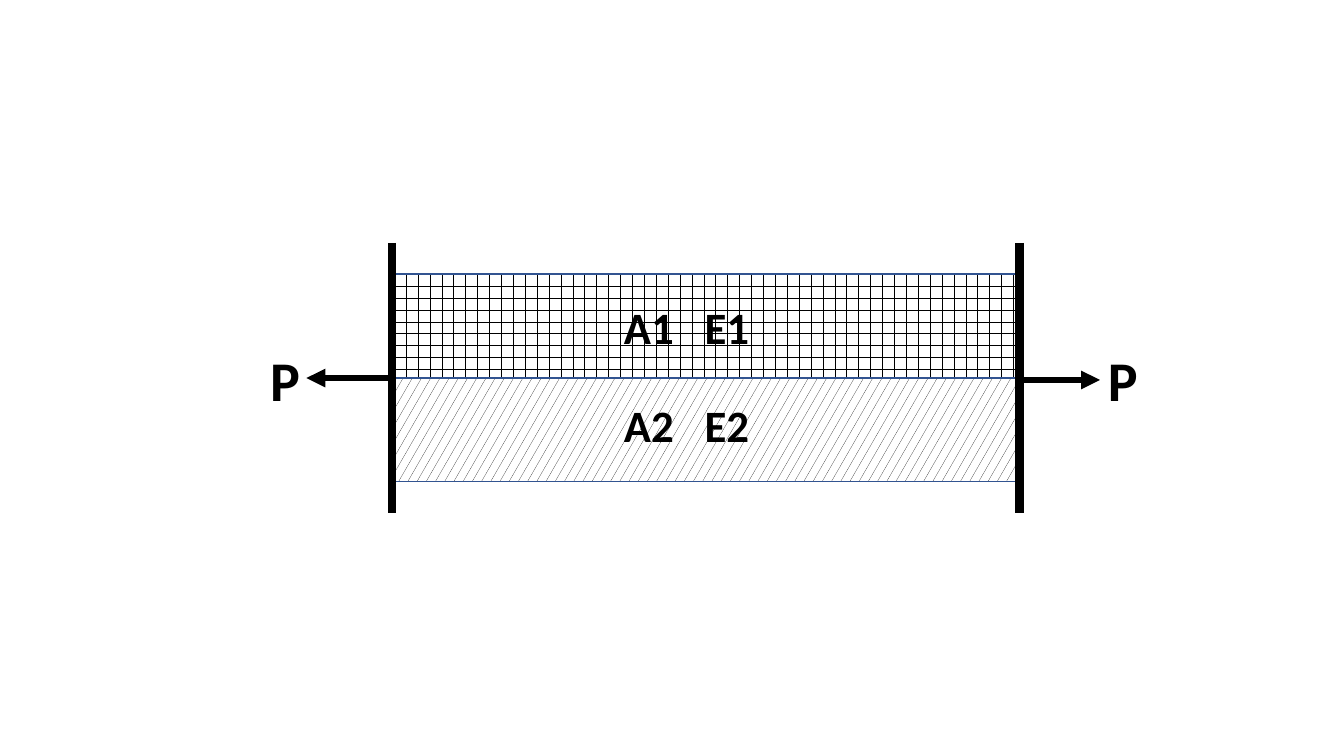
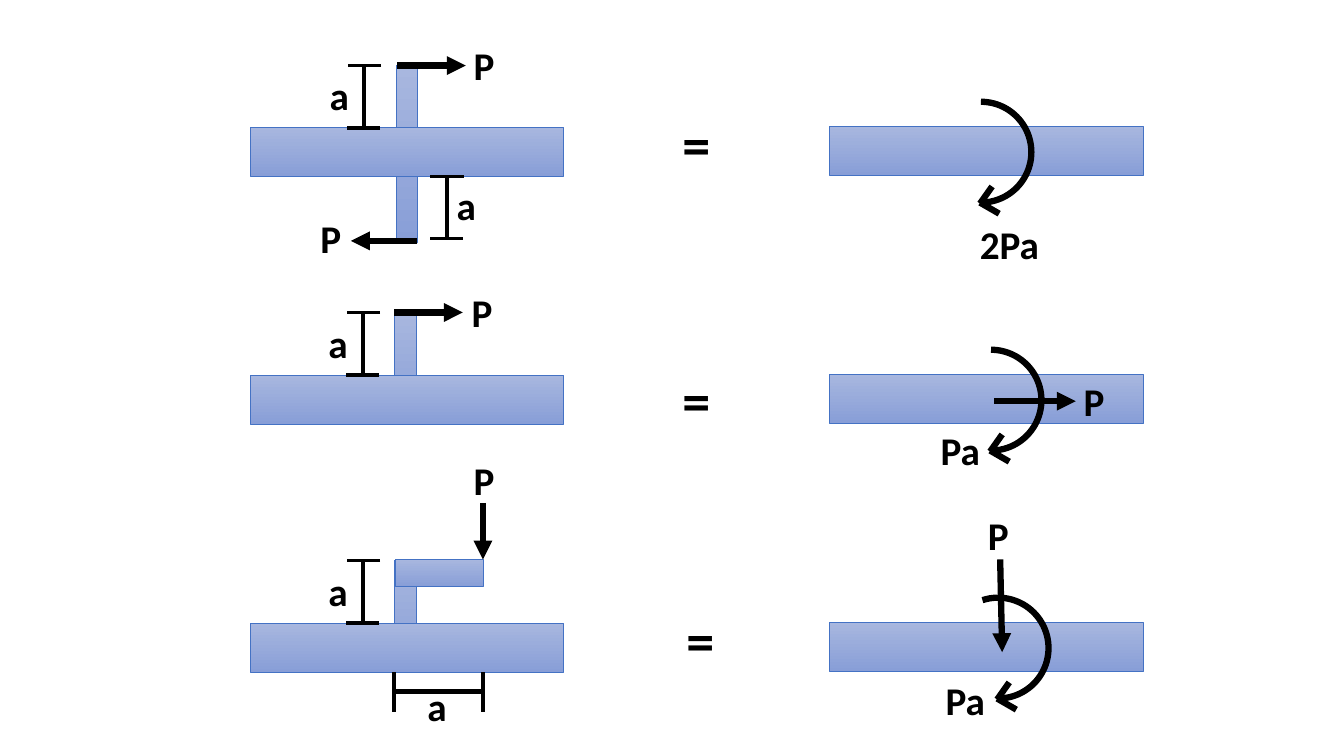
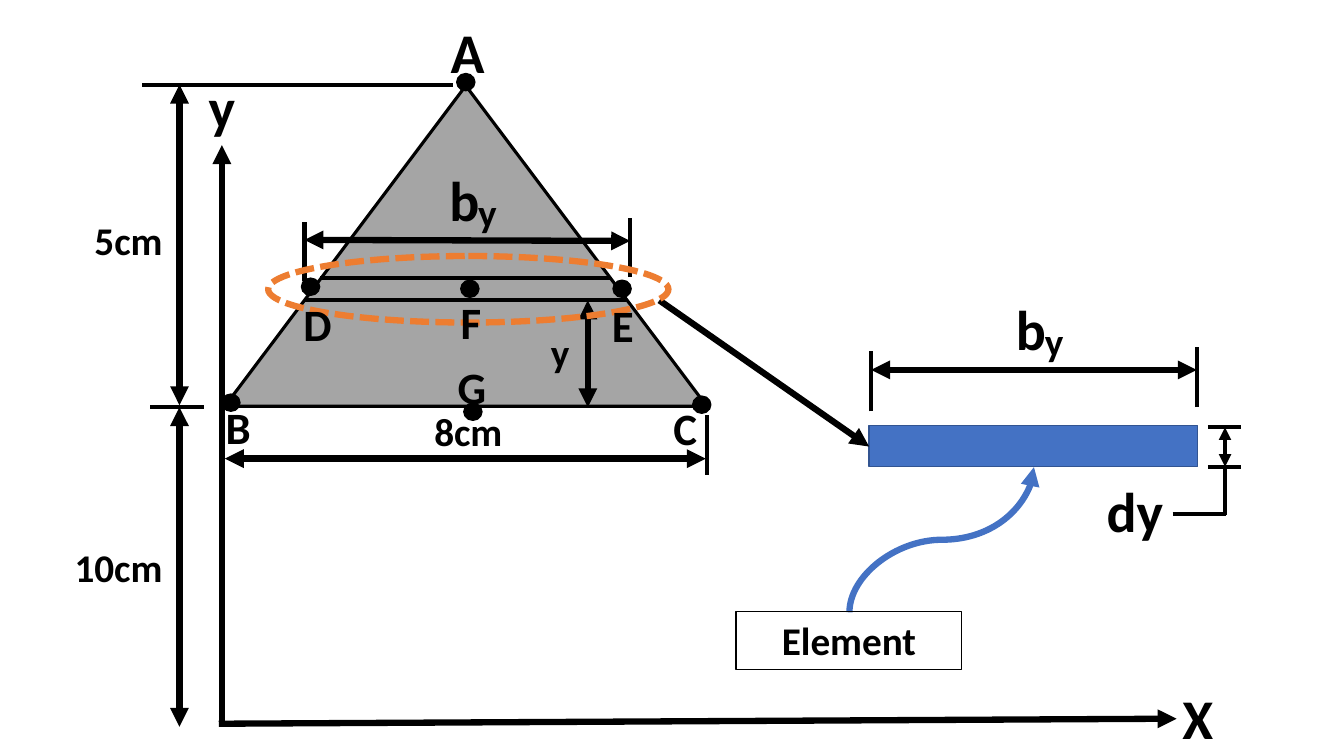
"""Draw three mechanics diagrams: a composite bar, force couples and a triangle's inertia strip."""
from lxml.etree import SubElement
from pptx import Presentation
from pptx.dml.color import RGBColor
from pptx.enum.dml import MSO_LINE, MSO_PATTERN
from pptx.enum.shapes import MSO_CONNECTOR as LINK, MSO_SHAPE as FORM
from pptx.enum.text import MSO_AUTO_SIZE as FIT, PP_ALIGN as ALIGN
from pptx.oxml.ns import qn
from pptx.util import Inches, Pt

FONT = "Calibri"
BLACK, WHITE, GRAY = "000000", "FFFFFF", "A5A5A5"
BLUE, NAVY, ORANGE = "4472C4", "325491", "ED7D31"
SHADE = ("A8B7DF", "889ED7")


def paint(fill, *hues, hatch=None):
    """Apply no fill, a solid fill, a vertical gradient or a pattern."""
    if not hues:
        fill.background()
    elif hatch:
        fill.patterned()
        fill.pattern = hatch
        fill.fore_color.rgb, fill.back_color.rgb = map(RGBColor.from_string, hues)
    elif len(hues) == 2:
        fill.gradient()
        fill.gradient_angle = 270
        for stop, hue in zip(fill.gradient_stops, hues):
            stop.color.rgb = RGBColor.from_string(hue)
    else:
        fill.solid()
        fill.fore_color.rgb = RGBColor.from_string(hues[0])


def label(slide, text, x, y, w=0.53, h=0.57, size=28, align=ALIGN.LEFT, tab=None, edge=None):
    """Add one line of bold text."""
    box = slide.shapes.add_textbox(*map(Inches, (x, y, w, h)))
    frame = box.text_frame
    frame.word_wrap = True
    frame.auto_size = FIT.SHAPE_TO_FIT_TEXT
    line = frame.paragraphs[0]
    line.alignment = align
    if tab:
        stops = SubElement(box.element.txBody.p_lst[0].get_or_add_pPr(), qn("a:tabLst"))
        SubElement(stops, qn("a:tab"), pos=str(Inches(tab)), algn="l")
    run = line.add_run()
    run.text = text
    run.font.name, run.font.size, run.font.bold = FONT, Pt(size), True
    paint(run.font.fill, BLACK)
    if edge:
        paint(box.line.fill, BLACK)
        box.line.width = Pt(edge)


deck = Presentation()
deck.slide_width, deck.slide_height = Inches(13.33), Inches(7.5)
bar, couple, strip = [deck.slides.add_slide(deck.slide_layouts[6]) for _ in range(3)]

shapes = []
for y, hatch in ((2.72, MSO_PATTERN.HORIZONTAL_BRICK), (3.75, MSO_PATTERN.SMALL_CONFETTI)):
    shapes.append((bar, FORM.RECTANGLE, (3.91, y, 6.2, 1.03), (BLACK, WHITE), hatch, NAVY, 1))

stems = [(3.93, 0.65, 0.21, 1.76), (3.91, 3.1, 0.22, 1.1), (3.91, 5.56, 0.22, 1.1)]
beams = [(x, y + 2.46 * row, 3.11, 0.49) for x, y in ((2.48, 1.26), (8.23, 1.25)) for row in range(3)]
arm = (3.92, 5.55, 0.87, 0.27)
for place in stems + beams + [arm]:
    shapes.append((couple, FORM.RECTANGLE, place, SHADE, None, BLUE, 0.5))

shapes += [
    (strip, FORM.FLOWCHART_EXTRACT, (2.23, 0.85, 4.78, 3.18), (GRAY,), None, BLACK, 2.25),
    (strip, FORM.RECTANGLE, (8.62, 4.22, 3.26, 0.41), (BLUE,), None, NAVY, 1),
]
dots = [(4.53, 0.73), (2.99, 2.76), (2.2, 3.91), (6.87, 3.93), (6.08, 2.78), (4.6, 4), (4.57, 2.78)]
for x, y in dots:
    shapes.append((strip, FORM.OVAL, (x, y, 0.18, 0.17), (BLACK,), None, BLACK, 1))

for slide, kind, place, hues, hatch, edge, width in shapes:
    shape = slide.shapes.add_shape(kind, *map(Inches, place))
    shape.shadow.inherit = False
    paint(shape.fill, *hues, hatch=hatch)
    paint(shape.line.fill, edge)
    shape.line.width = Pt(width)

NONE, TIP, BOTH = (), ("tailEnd",), ("headEnd", "tailEnd")
lines = [
    (bar, 3.89, 2.41, 3.89, 5.09, 6, NONE),
    (bar, 10.11, 2.41, 10.11, 5.09, 6, NONE),
    (bar, 3.91, 3.75, 3.04, 3.75, 4.5, TIP),
    (bar, 10.11, 3.77, 10.91, 3.77, 4.5, TIP),
    (couple, 3.94, 0.65, 4.62, 0.65, 4.5, TIP),
    (couple, 4.14, 2.39, 3.48, 2.39, 4.5, TIP),
    (couple, 3.91, 3.1, 4.59, 3.1, 4.5, TIP),
    (couple, 4.79, 4.99, 4.79, 5.55, 4.5, TIP),
    (couple, 9.86, 3.98, 10.67, 3.98, 4.5, TIP),
    (couple, 9.92, 5.55, 9.94, 6.47, 4.5, TIP),
    (couple, 3.93, 6.86, 4.79, 6.86, 3, NONE),
    (couple, 3.91, 7.06, 3.91, 6.67, 3, NONE),
    (couple, 4.79, 7.06, 4.79, 6.67, 3, NONE),
    (strip, 2.2, 7.18, 2.2, 1.44, 4.5, TIP),
    (strip, 2.17, 7.18, 11.67, 7.13, 4.5, TIP),
    (strip, 1.49, 4.04, 2.02, 4.04, 3, NONE),
    (strip, 1.41, 0.84, 4.49, 0.84, 3, NONE),
    (strip, 1.78, 4.02, 1.78, 0.84, 4.5, BOTH),
    (strip, 1.78, 7.21, 1.78, 4.04, 4.5, BOTH),
    (strip, 2.23, 4.55, 7, 4.55, 4.5, BOTH),
    (strip, 7.01, 4.71, 7.01, 4.12, 3, NONE),
    (strip, 6.05, 2.76, 3.17, 2.76, 3, NONE),
    (strip, 6.22, 2.98, 3.02, 2.98, 3, NONE),
    (strip, 5.83, 4.04, 5.83, 2.98, 4.5, BOTH),
    (strip, 3.02, 2.38, 6.25, 2.39, 4.5, BOTH),
    (strip, 6.25, 2.75, 6.25, 2.16, 3, NONE),
    (strip, 3.02, 2.79, 3.02, 2.2, 3, NONE),
    (strip, 6.54, 2.98, 8.62, 4.43, 4.5, TIP),
    (strip, 8.64, 3.67, 11.87, 3.67, 4.5, BOTH),
    (strip, 11.87, 4.04, 11.87, 3.44, 3, NONE),
    (strip, 8.64, 4.08, 8.64, 3.48, 3, NONE),
    (strip, 11.98, 4.24, 12.31, 4.24, 3, NONE),
    (strip, 11.98, 4.63, 12.31, 4.63, 3, NONE),
    (strip, 12.15, 4.24, 12.15, 4.63, 3, BOTH),
    (strip, 12.15, 4.65, 12.15, 5.11, 3, NONE),
    (strip, 11.63, 5.1, 12.16, 5.1, 3, NONE),
]
for x, y in ((3.61, 0.65), (4.43, 1.75), (3.6, 3.1), (3.6, 5.56)):
    lines += [
        (couple, x, y + 0.62, x, y, 3, NONE),
        (couple, x + 0.17, y, x - 0.16, y, 2.25, NONE),
        (couple, x + 0.16, y + 0.62, x - 0.17, y + 0.62, 2.25, NONE),
    ]
turns = [(9.23, 1.01, 162), (9.33, 3.47, 162), (9.4, 5.93, 151.15)]
for x, y, start in turns:
    lines += [
        (couple, x + 0.61, y + 0.84, x + 0.49, y + 1.01, 4.5, NONE),
        (couple, x + 0.68, y + 1.11, x + 0.49, y + 1, 4.5, NONE),
    ]
curve = (strip, 10.06, 6.27, 8.62, 4.44, 4.5, TIP)

for kind, hue, rows in ((LINK.STRAIGHT, BLACK, lines), (LINK.CURVE, BLUE, [curve])):
    for slide, *ends, width, heads in rows:
        link = slide.shapes.add_connector(kind, *map(Inches, ends))
        paint(link.line.fill, hue)
        link.line.width = Pt(width)
        props = link.element.spPr
        for head in heads:
            SubElement(props.find(qn("a:ln")), qn("a:" + head), type="triangle")
        SubElement(props, qn("a:effectLst"))
        if kind == LINK.CURVE:
            props.find(qn("a:xfrm")).set("rot", "5400000")

arcs = [(couple, (x, y, 1, 1), start, 54.31, BLACK, None) for x, y, start in turns]
arcs.append((strip, (2.66, 2.54, 3.97, 0.66), 162, 158.81, ORANGE, MSO_LINE.SQUARE_DOT))
for slide, place, start, end, hue, dash in arcs:
    arc = slide.shapes.add_shape(FORM.ARC, *map(Inches, place))
    arc.adjustments[0], arc.adjustments[1] = start, end
    arc.shadow.inherit = False
    paint(arc.fill)
    paint(arc.line.fill, hue)
    arc.line.width = Pt(4.5)
    if dash:
        arc.line.dash_style = dash

for x in (2.58, 10.89):
    label(bar, "P", x, 3.38, h=0.77, size=40)
for text, y in (("A1\tE1", 2.92), ("A2\tE2", 3.9)):
    label(bar, text, 6.09, y, w=1.61, h=0.64, size=32, tab=0.8)

for x, y in ((3.08, 2.08), (4.6, 0.36), (4.58, 2.81), (4.6, 4.48), (10.65, 3.69), (9.7, 5.02)):
    label(couple, "P", x, y)
for x, y in ((3.17, 0.66), (4.43, 1.75), (3.16, 3.12), (3.16, 5.58), (4.14, 6.72)):
    label(couple, "a", x, y, w=0.33)
for x, y in ((6.67, 1.04), (6.67, 3.58), (6.71, 5.96)):
    label(couple, "=", x, y, h=0.77, size=40)
for text, x, y, w in (("2Pa", 9.62, 2.14, 1.06), ("Pa", 9.23, 4.18, 0.69), ("Pa", 9.28, 6.66, 0.69)):
    label(couple, text, x, y, w=w)

for text, x, y in (("y", 1.97, 0.67), ("X", 11.63, 6.73), ("A", 4.37, 0.12)):
    label(strip, text, x, y, h=0.77, size=40)
for text, x, y in (("b", 4.09, 1.59), ("b", 9.71, 2.87), ("dy", 10.74, 4.68)):
    label(strip, text, x, y, w=1.03, h=0.77, size=40, align=ALIGN.CENTER)
sizes = [("5cm", 0.76, 2.1, 1.03), ("8cm", 4.13, 3.99, 1.03), ("10cm", 0.57, 5.34, 1.21)]
sizes += [("y", x, y, 0.57) for x, y in ((5.27, 3.21), (4.55, 1.82), (10.17, 3.1))]
for text, x, y, w in sizes:
    label(strip, text, x, y, w=w, align=ALIGN.CENTER)
points = [("B", 2.14, 3.92), ("C", 6.58, 3.93), ("E", 5.97, 2.9), ("D", 2.91, 2.89), ("F", 4.47, 2.87), ("G", 4.44, 3.52)]
for text, x, y in points:
    label(strip, text, x, y, h=0.64, size=32)
label(strip, "Element", 7.3, 6.07, w=2.24, align=ALIGN.CENTER, edge=0.75)

deck.save("out.pptx")
